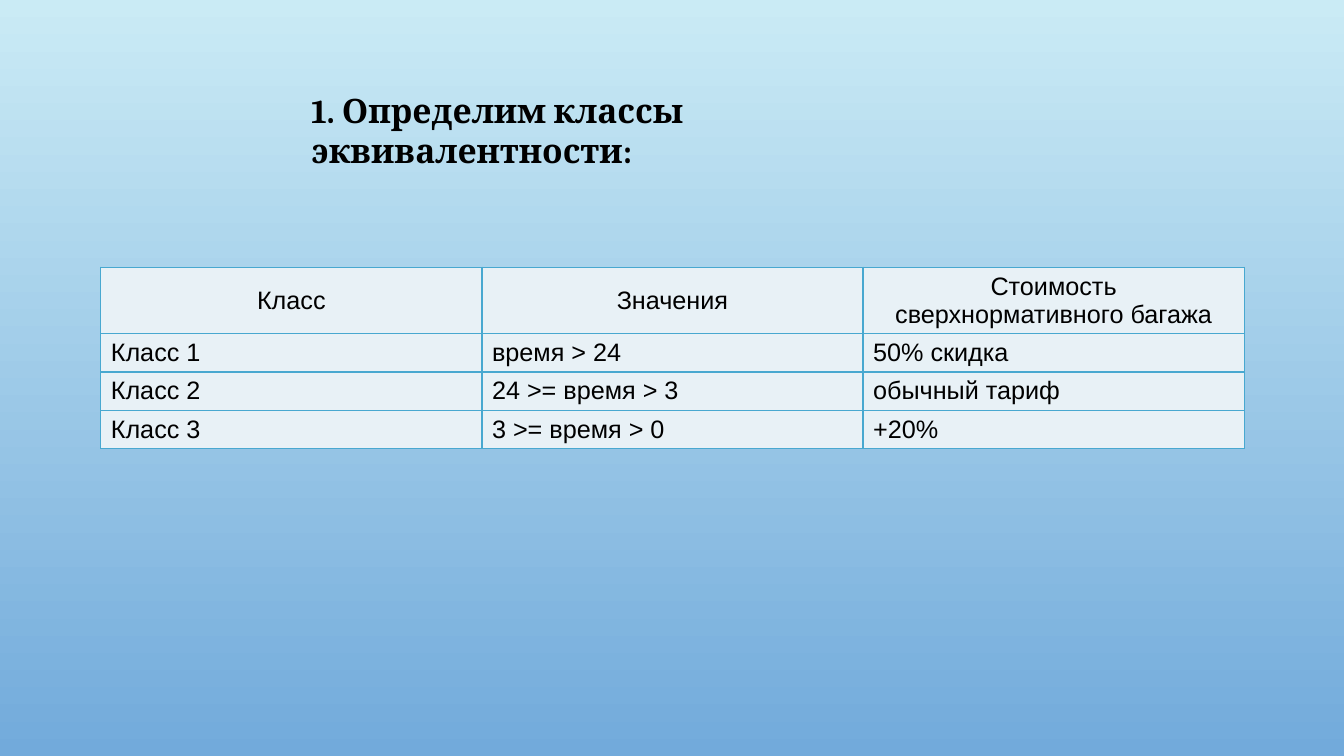
from lxml import etree
from pptx import Presentation
from pptx.dml.color import RGBColor
from pptx.enum.text import MSO_ANCHOR, MSO_AUTO_SIZE, PP_ALIGN
from pptx.oxml.ns import qn
from pptx.util import Inches, Pt

MIDDLE = MSO_ANCHOR.MIDDLE
GROW = MSO_AUTO_SIZE.SHAPE_TO_FIT_TEXT
LEFT, CENTER = PP_ALIGN.LEFT, PP_ALIGN.CENTER

TITLE = "1. Определим классы эквивалентности:"
ROWS = [
    ("Класс", "Значения", "Стоимость сверхнормативного багажа"),
    ("Класс 1", "время > 24", "50% скидка"),
    ("Класс 2", "24 >= время > 3", "обычный тариф"),
    ("Класс 3", "3 >= время > 0", "+20%"),
]
BACKGROUND = ("CAEBF5", "72AADB")
CELL_FILL, BORDER, TEXT = "E8F1F6", "48A8D0", "000000"
TITLE_FONT = {"name": "Cambria", "size": Pt(24), "bold": True}
CELL_FONT = {"name": "Arial", "size": Pt(18), "bold": False}
COL_W, HEAD_H, ROW_H = 3.78, 0.25, 0.25


def rgb(value):
    return RGBColor.from_string(value)


def write(tf, text, font, align=LEFT):
    p = tf.paragraphs[0]
    p.alignment = align
    r = p.add_run()
    r.text = text
    for key, value in font.items():
        setattr(r.font, key, value)
    r.font.color.rgb = rgb(TEXT)


def add_borders(cell):
    tc_pr = cell._tc.get_or_add_tcPr()
    for i, side in enumerate(("lnL", "lnR", "lnT", "lnB")):
        ln = etree.Element(qn(f"a:{side}"), w=str(Pt(1)))
        fill = etree.SubElement(ln, qn("a:solidFill"))
        etree.SubElement(fill, qn("a:srgbClr"), val=BORDER)
        tc_pr.insert(i, ln)


def add_classes(s):
    n_rows, n_cols = len(ROWS), len(ROWS[0])
    height = HEAD_H + ROW_H * (n_rows - 1)
    table = s.shapes.add_table(n_rows, n_cols, Inches(1), Inches(2.65),
                               Inches(COL_W * n_cols), Inches(height)).table
    for col in table.columns:
        col.width = Inches(COL_W)
    for i, values in enumerate(ROWS):
        table.rows[i].height = Inches(ROW_H if i else HEAD_H)
        for j, value in enumerate(values):
            cell = table.cell(i, j)
            cell.vertical_anchor = MIDDLE
            cell.fill.solid()
            cell.fill.fore_color.rgb = rgb(CELL_FILL)
            write(cell.text_frame, value, CELL_FONT, LEFT if i else CENTER)
            add_borders(cell)


def add_title(s):
    box = s.shapes.add_textbox(Inches(2.99), Inches(1.04), Inches(6.99), Inches(0.5))
    tf = box.text_frame
    for key, value in {"word_wrap": True, "vertical_anchor": MIDDLE, "auto_size": GROW}.items():
        setattr(tf, key, value)
    write(tf, TITLE, TITLE_FONT)


def main():
    """Build the slide with the table of equivalence classes."""
    prs = Presentation()
    prs.slide_width, prs.slide_height = Inches(13.33), Inches(7.5)
    s = prs.slides.add_slide(prs.slide_layouts[6])
    fill = s.background.fill
    fill.gradient()
    fill.gradient_angle = 270
    for stop, color in zip(fill.gradient_stops, BACKGROUND):
        stop.color.rgb = rgb(color)
    add_classes(s)
    add_title(s)
    prs.save("out.pptx")


if __name__ == "__main__":
    main()
